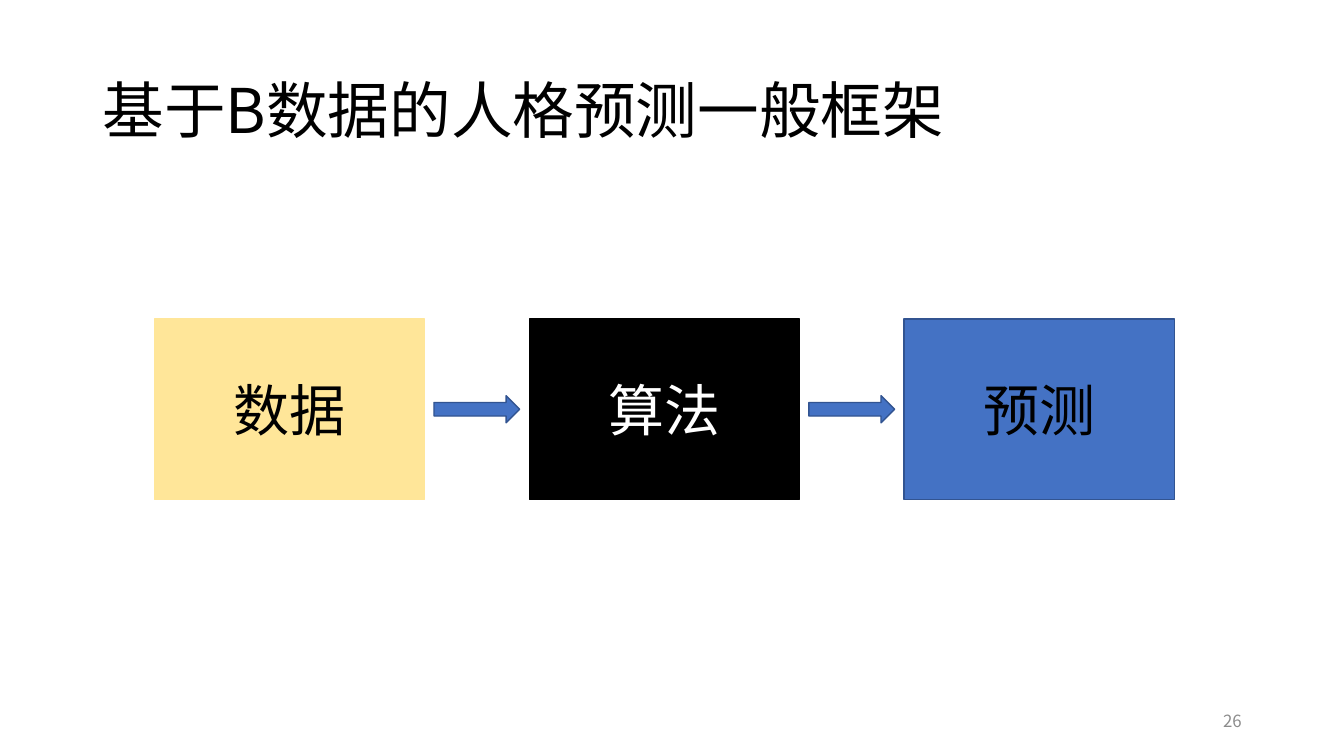
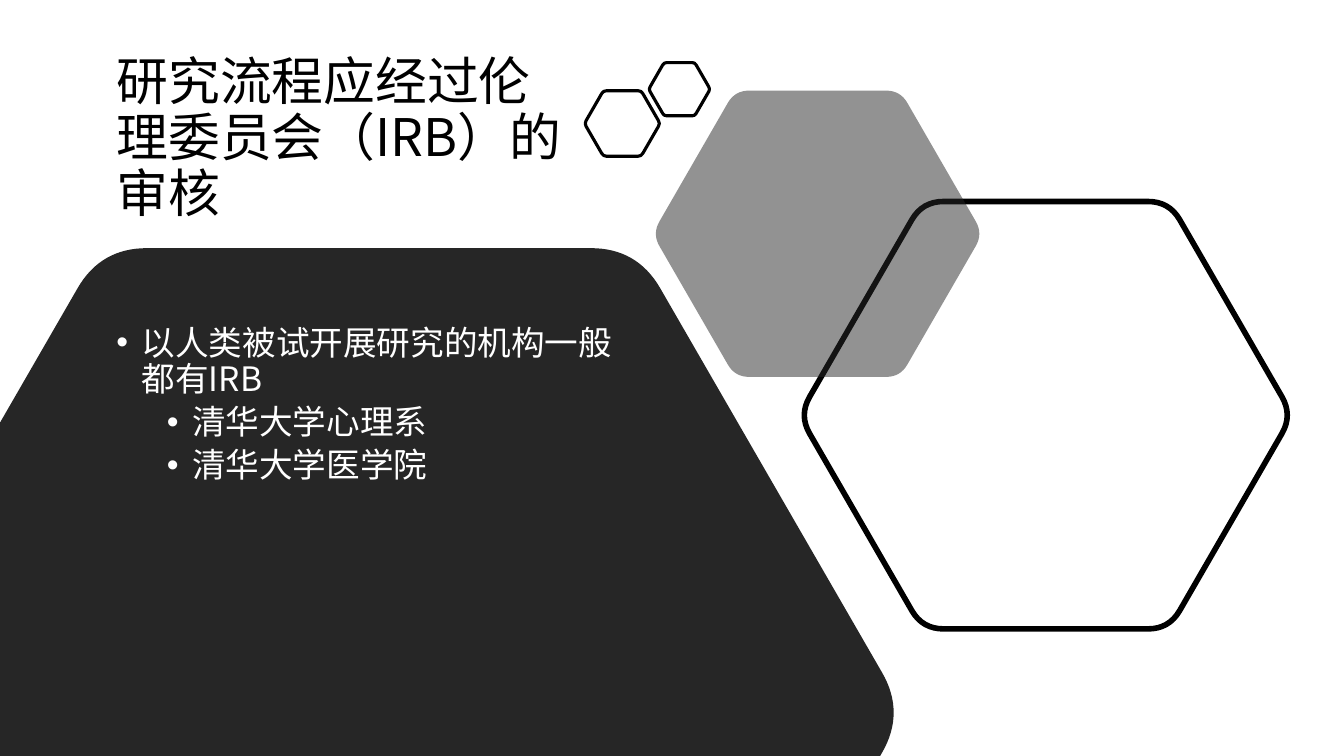
"""Build two slides: a prediction pipeline and an ethics review page."""
from dataclasses import dataclass
from math import cos, pi, sin, sqrt
from typing import Optional

from lxml import etree
from pptx import Presentation
from pptx.dml.color import RGBColor
from pptx.enum import shapes, text
from pptx.oxml import ns
from pptx.util import Pt

FONT = "Noto Sans CJK SC"
BLACK = RGBColor(0x00, 0x00, 0x00)
WHITE = RGBColor(0xFF, 0xFF, 0xFF)
DARK = RGBColor(0x26, 0x26, 0x26)
GREY = RGBColor(0x8C, 0x8C, 0x8C)
BLUE = RGBColor(0x44, 0x72, 0xC4)
NAVY = RGBColor(0x32, 0x54, 0x91)
SAND = RGBColor(0xFF, 0xE6, 0x99)
WIDE, HIGH = 960, 540
CUT = 0.086


@dataclass
class Box:
    label: str
    fill: RGBColor
    line: RGBColor
    ink: RGBColor


@dataclass
class Hexa:
    x: float
    y: float
    high: float
    fill: Optional[RGBColor] = None
    line: float = 0
    alpha: int = 100


@dataclass
class Item:
    label: str
    indent: int
    before: int


BOXES = [
    Box("数据", SAND, SAND, BLACK),
    Box("算法", BLACK, BLACK, WHITE),
    Box("预测", BLUE, NAVY, BLACK),
]
HEXAS = [
    Hexa(263.5, 509, 663.5, fill=DARK),
    Hexa(747, 296.6, 305.3, line=4),
    Hexa(584, 167, 204.5, fill=DARK, alpha=50),
    Hexa(444.5, 88.2, 46.8, line=2.25),
    Hexa(485.3, 63.7, 38, line=2.25),
]
ITEMS = [
    Item("以人类被试开展研究的机构一般都有IRB", 18, 0),
    Item("清华大学心理系", 54, 5),
    Item("清华大学医学院", 54, 5),
]


def style(para, size: float, ink: RGBColor, align=text.PP_ALIGN.LEFT) -> None:
    """Set alignment, size, colour and both font faces of a paragraph."""
    para.alignment = align
    font = para.font
    font.size = Pt(size)
    font.color.rgb = ink
    font.name = FONT
    face = etree.SubElement(para._p.pPr.find(ns.qn("a:defRPr")), ns.qn("a:ea"))
    face.set("typeface", FONT)


def paint(shape, fill: Optional[RGBColor], line: Optional[RGBColor], width: float = 1) -> None:
    """Set fill and line of a shape, without a shadow."""
    shape.shadow.inherit = False
    if fill is None:
        shape.fill.background()
    else:
        shape.fill.solid()
        shape.fill.fore_color.rgb = fill
    if line is None:
        shape.line.fill.background()
    else:
        shape.line.color.rgb = line
        shape.line.width = Pt(width)


def begin(deck, label: str, area: tuple, size: float):
    """Add a slide with its title placed and styled."""
    slide = deck.slides.add_slide(deck.slide_layouts[5])
    title = slide.shapes.title
    title.left, title.top, title.width, title.height = map(Pt, area)
    frame = title.text_frame
    frame.text = label
    frame.word_wrap = True
    frame.auto_size = text.MSO_AUTO_SIZE.NONE
    frame.vertical_anchor = text.MSO_ANCHOR.MIDDLE
    para = frame.paragraphs[0]
    para.line_spacing = 0.9
    style(para, size, BLACK)
    return slide


def write(slide, area: tuple, anchor):
    """Add a wrapping text box and return its frame."""
    frame = slide.shapes.add_textbox(*map(Pt, area)).text_frame
    frame.word_wrap = True
    frame.vertical_anchor = anchor
    return frame


def flow(slide) -> None:
    """Draw the row of boxes joined by block arrows."""
    left, top, wide, high, step = 110.2, 227.9, 193, 128.9, 267.8
    span, thick = 61.2, 19.4
    gap = (step - wide - span) / 2
    for i, box in enumerate(BOXES):
        x = left + i * step
        rect = slide.shapes.add_shape(
            shapes.MSO_SHAPE.RECTANGLE, Pt(x), Pt(top), Pt(wide), Pt(high))
        paint(rect, box.fill, box.line)
        frame = rect.text_frame
        frame.text = box.label
        frame.vertical_anchor = text.MSO_ANCHOR.MIDDLE
        style(frame.paragraphs[0], 40, box.ink, text.PP_ALIGN.CENTER)
        if i < len(BOXES) - 1:
            arrow = slide.shapes.add_shape(
                shapes.MSO_SHAPE.RIGHT_ARROW, Pt(x + wide + gap),
                Pt(top + (high - thick) / 2), Pt(span), Pt(thick))
            paint(arrow, BLUE, NAVY)


def mix(a: tuple, b: tuple, t: float) -> tuple:
    """Return the point at share t of the way from a to b."""
    return tuple(p + (q - p) * t for p, q in zip(a, b))


def outline(hexa: Hexa) -> list:
    """Return the start, crest and end of each corner of a flat-topped hexagon."""
    side = hexa.high / sqrt(3)
    tips = [(hexa.x + side * cos(k * pi / 3), hexa.y + side * sin(k * pi / 3))
            for k in range(6)]
    dots = []
    for k, tip in enumerate(tips):
        start = mix(tip, tips[k - 1], CUT)
        end = mix(tip, tips[(k + 1) % 6], CUT)
        dots += [start, mix(mix(start, end, 0.5), tip, 0.5), end]
    return dots


def clip(dots: list, axis: int, edge: float, sign: int) -> list:
    """Cut a polygon at a slide edge, keeping the side given by sign."""
    kept = []
    for a, b in zip(dots, dots[1:] + dots[:1]):
        da, db = sign * (a[axis] - edge), sign * (b[axis] - edge)
        if da >= 0:
            kept.append(a)
        if da * db < 0:
            kept.append(mix(a, b, da / (da - db)))
    return kept


def bend(shape, crests: list) -> None:
    """Turn the two lines that meet at each crest into one curve."""
    moves = list(shape._element.iter(ns.qn("a:moveTo"), ns.qn("a:lnTo")))
    for i in crests:
        near, crest, far = (move[0] for move in moves[i - 1:i + 2])
        for key in ("x", "y"):
            ends = int(near.get(key)) + int(far.get(key))
            crest.set(key, str(2 * int(crest.get(key)) - ends // 2))
        curve = etree.Element(ns.qn("a:quadBezTo"))
        moves[i].addprevious(curve)
        curve.extend([crest, far])
        for move in moves[i:i + 2]:
            move.getparent().remove(move)
        moves[i + 1] = [far]


def draw(slide, hexa: Hexa) -> None:
    """Draw one hexagon, trimmed to the slide."""
    dots = outline(hexa)
    crests = dots[1::3]
    dots = clip(clip(dots, 0, 0, 1), 1, HIGH, -1)
    spots = [(Pt(x), Pt(y)) for x, y in dots]
    pen = slide.shapes.build_freeform(*spots[0])
    pen.add_line_segments(spots[1:], close=True)
    shape = pen.convert_to_shape()
    bend(shape, [i for i, dot in enumerate(dots) if dot in crests])
    paint(shape, hexa.fill, BLACK if hexa.line else None, hexa.line)
    if hexa.alpha < 100:
        tone = shape._element.spPr.find(ns.qn("a:solidFill"))[0]
        etree.SubElement(tone, ns.qn("a:alpha")).set("val", str(hexa.alpha * 1000))


def listing(slide) -> None:
    """Write the bulleted list."""
    frame = write(slide, (76.1, 229.4, 373.7, 243.4), text.MSO_ANCHOR.TOP)
    for i, item in enumerate(ITEMS):
        para = frame.paragraphs[0] if i == 0 else frame.add_paragraph()
        para.text = item.label
        para.level = int(i > 0)
        para.line_spacing = 0.9
        para.space_before = Pt(item.before)
        props = para._p.get_or_add_pPr()
        props.set("marL", str(Pt(item.indent)))
        props.set("indent", str(-Pt(18)))
        etree.SubElement(props, ns.qn("a:buFont")).set("typeface", "Arial")
        etree.SubElement(props, ns.qn("a:buChar")).set("char", "•")
        style(para, 24, WHITE)


def main() -> None:
    """Build and save the deck."""
    deck = Presentation()
    deck.slide_width, deck.slide_height = Pt(WIDE), Pt(HIGH)

    slide = begin(deck, "基于B数据的人格预测一般框架", (66, 28.8, 828, 104.4), 44)
    flow(slide)
    frame = write(slide, (678, 500.5, 216, 28.8), text.MSO_ANCHOR.MIDDLE)
    frame.text = "26"
    style(frame.paragraphs[0], 12, GREY, text.PP_ALIGN.RIGHT)

    slide = begin(deck, "研究流程应经过伦理委员会（IRB）的审核", (76.1, 35.3, 337, 129.6), 37)
    for hexa in HEXAS:
        draw(slide, hexa)
    listing(slide)

    deck.save("out.pptx")


if __name__ == "__main__":
    main()
